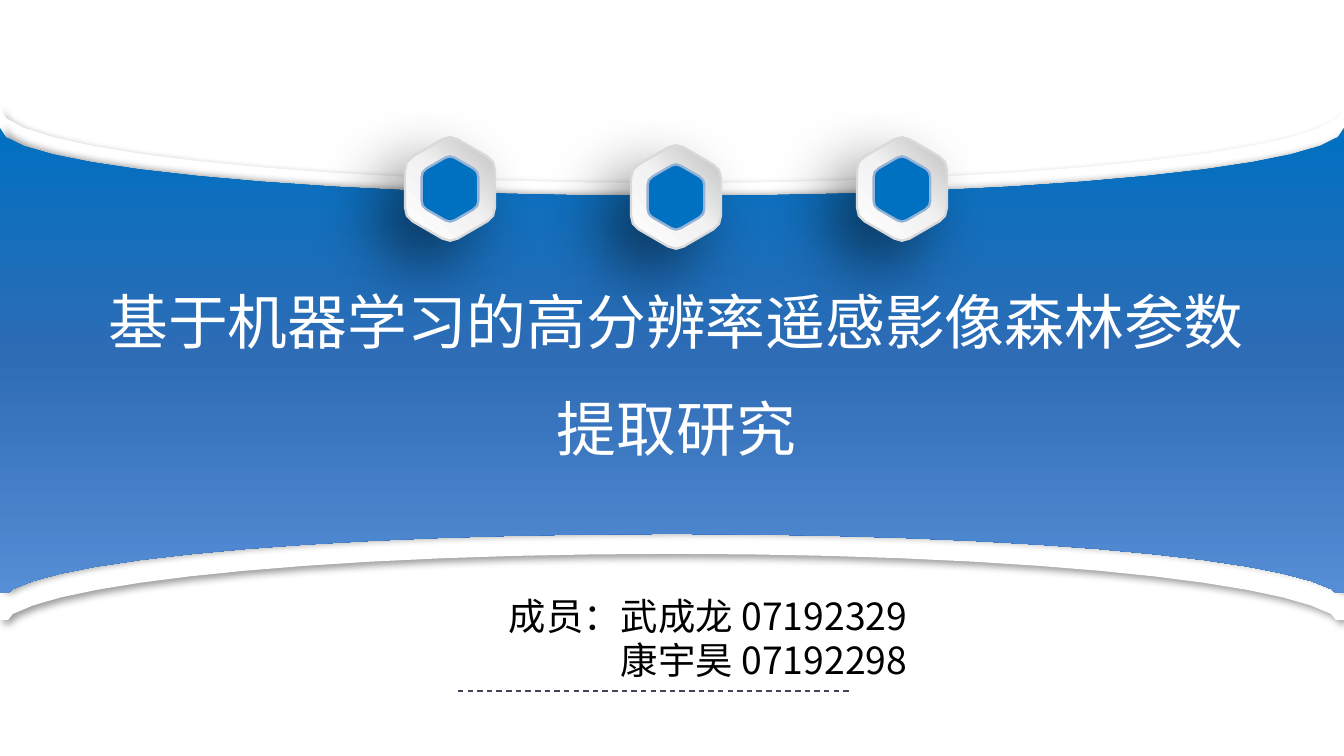
"""Build the cover slide of a forest remote sensing study."""
import pptx
import pptx.dml.color
import pptx.enum.dml
import pptx.enum.shapes
import pptx.enum.text
import pptx.oxml
import pptx.oxml.ns
import pptx.util

PX = 914400 / 134.4
WIDTH, HEIGHT = 1344, 756
BAND_STEPS, CORNER_STEPS = 12, 2

WHITE = pptx.dml.color.RGBColor(0xFF, 0xFF, 0xFF)
BLACK = pptx.dml.color.RGBColor(0x00, 0x00, 0x00)
BLUE = pptx.dml.color.RGBColor(0x00, 0x70, 0xC0)
MID_BLUE = pptx.dml.color.RGBColor(0x2E, 0x6C, 0xB5)
LIGHT_BLUE = pptx.dml.color.RGBColor(0x55, 0x8E, 0xD5)
PALE_BLUE = pptx.dml.color.RGBColor(0x95, 0xB3, 0xD7)
PALE_GRAY = pptx.dml.color.RGBColor(0xF2, 0xF2, 0xF2)
LINE_GRAY = pptx.dml.color.RGBColor(0xD9, 0xD9, 0xD9)
GRAY = pptx.dml.color.RGBColor(0xBF, 0xBF, 0xBF)
SLATE = pptx.dml.color.RGBColor(0x41, 0x44, 0x55)

TITLE = ["基于机器学习的高分辨率遥感影像森林参数提取研究"]
MEMBERS = ["成员：武成龙 07192329", "康宇昊 07192298"]

TEXTS = [
    dict(lines=MEMBERS, box=(477, 586, 444, 103), align=pptx.enum.text.PP_ALIGN.RIGHT, spacing=1.0,
         font=dict(name="Noto Sans CJK SC", size=pptx.util.Pt(20), bold=False), color=BLACK),
    dict(lines=TITLE, box=(89, 242, 1175, 218), align=pptx.enum.text.PP_ALIGN.CENTER, spacing=1.5,
         font=dict(name="Arial", size=pptx.util.Pt(32), bold=False), color=WHITE),
]
BANDS = [
    dict(top=108, dip=183, crown=554, bend=579, shoulder=614, foot=620,
         stops=[(0, WHITE)], angle=0, shadow=(40, 4, 3, 45)),
    dict(top=128, dip=196, crown=534, bend=556, shoulder=589, foot=593,
         stops=[(0, BLUE), (49, MID_BLUE), (100, LIGHT_BLUE)], angle=90, shadow=(40, 4, 3, 0)),
]
HEXAGON_CENTERS = [(450, 189), (676, 197), (902, 189)]
HEXAGONS = [
    dict(scale=1, stops=[(0, WHITE), (50, PALE_GRAY), (100, GRAY)], angle=315, line=LINE_GRAY,
         shadow=(50, 35, 20, 135)),
    dict(scale=0.63, stops=[(0, BLUE)], angle=0, line=PALE_BLUE, shadow=None),
]
HEXAGON_CORNERS = [(0, -54), (45, -28), (45, 28), (0, 54), (-45, 28), (-45, -28)]


def emu(length):
    return round(length * PX)


def element(xml):
    return pptx.oxml.parse_xml(xml.replace(" ", f" {pptx.oxml.ns.nsdecls('a')} ", 1))


def bezier(steps, *controls):
    points = []
    for step in range(steps + 1):
        level = controls
        while len(level) > 1:
            level = [tuple(a + (b - a) * step / steps for a, b in zip(start, end))
                     for start, end in zip(level, level[1:])]
        points.append(level[0])
    return points


def mirrored(points):
    return points + [(WIDTH - x, y) for x, y in reversed(points[:-1])]


def band_points(band):
    top, dip, crown = band["top"], band["dip"], band["crown"]
    upper = bezier(BAND_STEPS, (0, top), (0, top + 0.55 * (dip - top)), (301, dip), (672, dip))
    lower = [(0, band["foot"]), (8, band["foot"])]
    lower += bezier(BAND_STEPS, (13, band["shoulder"]), (77, band["bend"]), (347, crown), (672, crown))
    return mirrored(upper) + mirrored(lower)[::-1]


def hexagon_points(center, scale):
    points = []
    for index, corner in enumerate(HEXAGON_CORNERS):
        before = HEXAGON_CORNERS[index - 1]
        after = HEXAGON_CORNERS[(index + 1) % len(HEXAGON_CORNERS)]
        start, end = [tuple(c + 0.17 * (n - c) for c, n in zip(corner, neighbor))
                      for neighbor in (before, after)]
        points += bezier(CORNER_STEPS, start, corner, end)
    return [(center[0] + scale * x, center[1] + scale * y) for x, y in points]


def add_outline(slide, points, style):
    points = [(emu(x), emu(y)) for x, y in points]
    builder = slide.shapes.build_freeform(*points[0])
    builder.add_line_segments(points[1:], close=True)
    shape = builder.convert_to_shape()
    stops = style["stops"]
    if len(stops) > 1:
        shape.fill.gradient()
        shape.fill.gradient_angle = (360 - style["angle"]) % 360
        stop_list = shape._element.spPr.find(".//" + pptx.oxml.ns.qn("a:gsLst"))
        stop_list[:] = [element(f'<a:gs pos="{position * 1000}"><a:srgbClr val="{color}"/></a:gs>')
                        for position, color in stops]
    else:
        shape.fill.solid()
        shape.fill.fore_color.rgb = stops[0][1]
    if "line" in style:
        shape.line.color.rgb = style["line"]
        shape.line.width = pptx.util.Pt(1.25)
    else:
        shape.line.fill.background()
    shape.shadow.inherit = False
    if style["shadow"]:
        alpha, blur, distance, angle = style["shadow"]
        effects = shape._element.spPr.find(pptx.oxml.ns.qn("a:effectLst"))
        effects.append(element(
            f'<a:outerShdw blurRad="{blur * 12700}" dist="{distance * 12700}" dir="{angle * 60000}" '
            f'algn="ctr" rotWithShape="0"><a:srgbClr val="{BLACK}">'
            f'<a:alpha val="{alpha * 1000}"/></a:srgbClr></a:outerShdw>'))


def add_dashed_rule(slide):
    rule = slide.shapes.add_connector(pptx.enum.shapes.MSO_CONNECTOR.STRAIGHT,
                                      emu(458), emu(691), emu(852), emu(691))
    rule.line.color.rgb = SLATE
    rule.line.width = pptx.util.Pt(0.75)
    rule.line.dash_style = pptx.enum.dml.MSO_LINE.DASH
    rule._element.spPr.append(element("<a:effectLst />"))


def fill_placeholder(slide, shape, content):
    shape.left, shape.top, shape.width, shape.height = map(emu, content["box"])
    frame = shape.text_frame
    frame.text = "\n".join(content["lines"])
    frame.word_wrap = True
    frame.auto_size = pptx.enum.text.MSO_AUTO_SIZE.NONE
    frame.vertical_anchor = pptx.enum.text.MSO_ANCHOR.TOP
    paragraph_format = dict(alignment=content["align"], line_spacing=content["spacing"],
                            space_before=pptx.util.Pt(0))
    for paragraph in frame.paragraphs:
        for name, value in paragraph_format.items():
            setattr(paragraph, name, value)
        for run in paragraph.runs:
            for name, value in content["font"].items():
                setattr(run.font, name, value)
            run.font.color.rgb = content["color"]
            run.font._element.append(element('<a:ea typeface="Noto Sans CJK SC"/>'))
    slide.shapes._spTree.append(shape._element)


def main():
    presentation = pptx.Presentation()
    presentation.slide_width, presentation.slide_height = emu(WIDTH), emu(HEIGHT)
    slide = presentation.slides.add_slide(presentation.slide_layouts[0])
    title, members = slide.shapes.title, slide.placeholders[1]
    for band in BANDS:
        add_outline(slide, band_points(band), band)
    add_dashed_rule(slide)
    for center in HEXAGON_CENTERS:
        for hexagon in HEXAGONS:
            add_outline(slide, hexagon_points(center, hexagon["scale"]), hexagon)
    for shape, content in zip((members, title), TEXTS):
        fill_placeholder(slide, shape, content)
    presentation.save("out.pptx")


if __name__ == "__main__":
    main()
